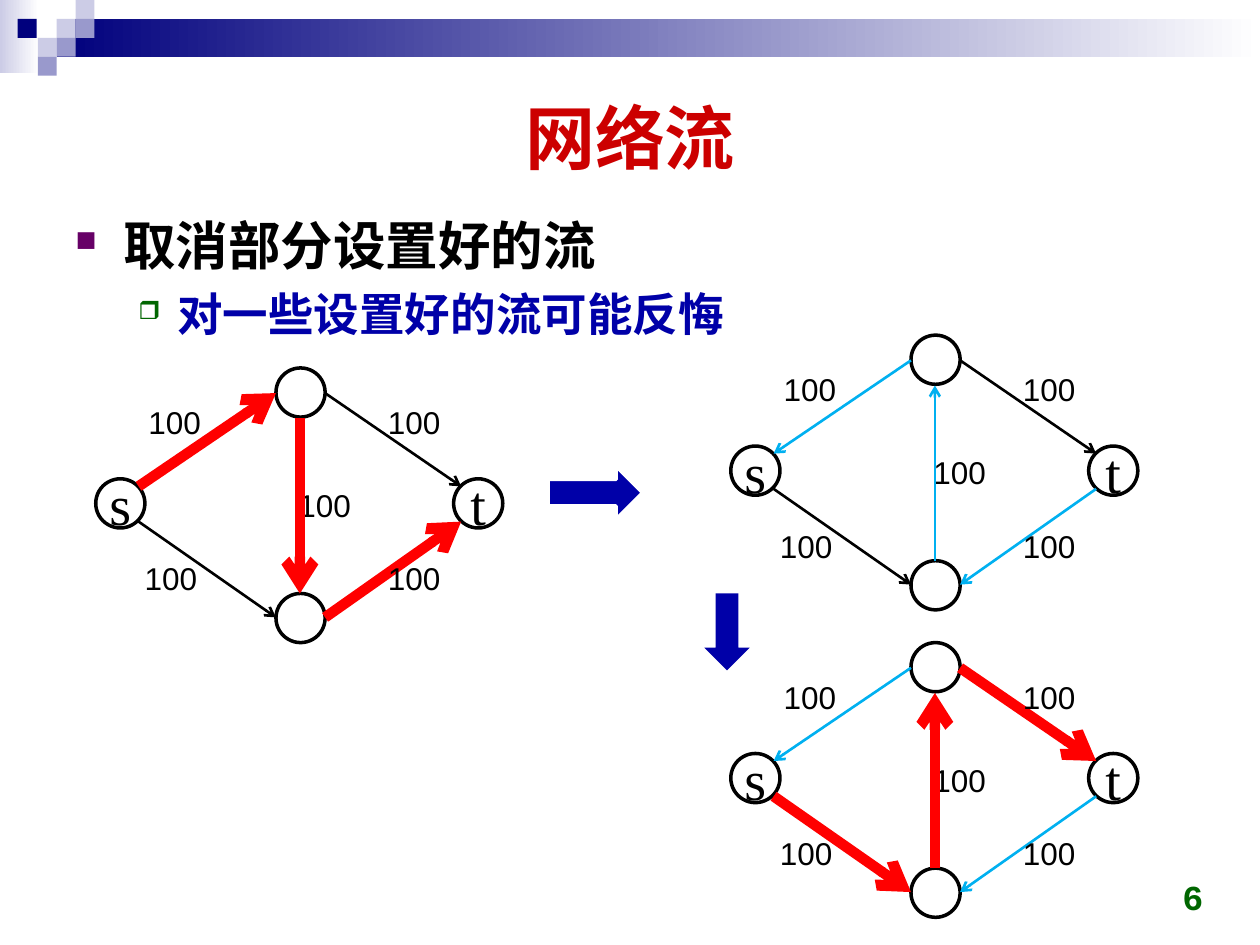
from dataclasses import dataclass
from typing import Optional

from lxml.etree import SubElement as Sub
from pptx import Presentation
from pptx.dml.color import RGBColor as RGB
from pptx.enum.shapes import MSO_CONNECTOR as Conn, MSO_SHAPE as Kind
from pptx.enum.text import MSO_ANCHOR as Anchor, MSO_AUTO_SIZE as Auto, PP_ALIGN as Align
from pptx.oxml.ns import qn
from pptx.util import Inches, Pt


@dataclass(frozen=True)
class Theme:
    black: str = "000000"
    white: str = "FFFFFF"
    red: str = "CC0000"
    blue: str = "0000A8"
    green: str = "006600"
    purple: str = "660066"
    navy: str = "00007D"
    pale: str = "CCCCE6"
    mid: str = "9999CC"
    flow: str = "FF0000"
    back: str = "00B0F0"
    sans: str = "Arial"
    serif: str = "Times New Roman"
    mono: str = "Courier New"
    title: int = 40
    lead: int = 30
    sub: int = 26
    page: int = 20
    node: int = 32
    label: int = 18


T = Theme()


@dataclass(frozen=True)
class Style:
    color: str
    width: float
    back: bool = False


PLAIN = Style(T.black, 1.5)
FLOW = Style(T.flow, 6)
UNDO = Style(T.back, 1.5, back=True)
PUSH = Style(T.flow, 6, back=True)


@dataclass(frozen=True)
class Graph:
    """A four-node network; x and y place the box of node s."""
    x: float
    y: float
    s_top: Style
    top_t: Style
    low_t: Style
    s_low: Style
    mid: Style


@dataclass(frozen=True)
class Bullet:
    text: str
    size: int
    color: str
    mark: str
    tint: str
    left: float
    hang: float


# Offsets from the box of node s
NODES = [("s", 0, 0), ("t", 2.84, 0), ("", 1.43, -0.88), ("", 1.43, 0.91)]
LABELS = [(0.32, -0.65), (0.29, 0.59), (2.22, -0.65), (1.51, 0.01), (2.22, 0.59)]
EDGES = {
    "s_top": (0.34, 0.06, 1.43, -0.68),
    "top_t": (1.82, -0.68, 2.9, 0.06),
    "low_t": (1.82, 1.1, 2.9, 0.34),
    "s_low": (0.34, 0.34, 1.43, 1.1),
    "mid": (1.62, -0.48, 1.62, 0.91),
}
GRAPHS = [
    Graph(5.8, 3.54, UNDO, PLAIN, UNDO, PLAIN, UNDO),
    Graph(0.76, 3.8, FLOW, PLAIN, FLOW, PLAIN, FLOW),
    Graph(5.8, 5.98, UNDO, FLOW, UNDO, FLOW, PUSH),
]
BULLETS = [
    Bullet("取消部分设置好的流", T.lead, T.black, "■", T.purple, 0.38, 0.38),
    Bullet("对一些设置好的流可能反悔", T.sub, T.blue, "❒", T.green, 0.81, 0.31),
]
CELL = 0.15
TILES = [(0.45, 0.15, T.pale), (0.6, 0, T.pale), (0.6, 0.15, T.mid), (0.3, 0.3, T.pale),
         (0.14, 0.15, T.navy), (0.45, 0.3, T.mid), (0.3, 0.45, T.mid)]


def box(x: float, y: float, w: float, h: float) -> tuple:
    return Inches(x), Inches(y), Inches(w), Inches(h)


def write(para, text: str, *, size: int, color: str = T.black, font: str = T.sans,
          bold: bool = False, align: Align = Align.LEFT) -> None:
    para.alignment = align
    run = para.add_run()
    run.text = text
    run.font.name, run.font.size, run.font.bold = font, Pt(size), bold
    run.font.color.rgb = RGB.from_string(color)


def add_box(shapes, place: tuple, anchor: Anchor = Anchor.TOP, wrap: bool = True):
    frame = shapes.add_textbox(*box(*place)).text_frame
    frame.word_wrap, frame.vertical_anchor = wrap, anchor
    return frame


def add_form(shapes, kind: Kind, place: tuple, fill: Optional[str] = None,
             line: Optional[str] = None, fade: bool = False):
    """Add a preset shape; fade runs the fill to white from left to right."""
    form = shapes.add_shape(kind, *box(*place))
    form.shadow.inherit = False
    if fade:
        form.fill.gradient()
        form.fill.gradient_angle = 0
        for stop, tone in zip(form.fill.gradient_stops, (fill, T.white)):
            stop.color.rgb = RGB.from_string(tone)
    elif fill:
        form.fill.solid()
        form.fill.fore_color.rgb = RGB.from_string(fill)
    else:
        form.fill.background()
    if line:
        form.line.color.rgb = RGB.from_string(line)
        form.line.width = Pt(2)
    else:
        form.line.fill.background()
    return form


def add_edge(shapes, ends: tuple, style: Style) -> None:
    edge = shapes.add_connector(Conn.STRAIGHT, *box(*ends))
    edge.line.color.rgb = RGB.from_string(style.color)
    edge.line.width = Pt(style.width)
    tip = "a:headEnd" if style.back else "a:tailEnd"
    Sub(edge.line._get_or_add_ln(), qn(tip), type="arrow")
    Sub(edge._element.spPr, qn("a:effectLst"))


def draw_graph(shapes, graph: Graph) -> None:
    group = shapes.add_group_shape().shapes

    def edges(*names: str) -> None:
        for name in names:
            x1, y1, x2, y2 = EDGES[name]
            ends = (graph.x + x1, graph.y + y1, graph.x + x2, graph.y + y2)
            add_edge(group, ends, getattr(graph, name))

    for name, dx, dy in NODES:
        node = add_form(group, Kind.OVAL, (graph.x + dx, graph.y + dy, 0.39, 0.39), line=T.black)
        if name:
            frame = node.text_frame
            frame.margin_left = frame.margin_right = frame.margin_top = frame.margin_bottom = 0
            frame.vertical_anchor = Anchor.MIDDLE
            write(frame.paragraphs[0], name, size=T.node, font=T.serif, align=Align.CENTER)
    edges("s_top", "top_t", "low_t")
    for dx, dy in LABELS:
        frame = add_box(group, (graph.x + dx, graph.y + dy, 0.62, 0.4), wrap=False)
        frame.auto_size = Auto.SHAPE_TO_FIT_TEXT
        write(frame.paragraphs[0], "100", size=T.label)
    edges("s_low", "mid")


def draw_band(shapes) -> None:
    group = shapes.add_group_shape().shapes
    add_form(group, Kind.RECTANGLE, (0, 0, 0.31, 0.58), T.pale, fade=True)
    add_form(group, Kind.RECTANGLE, (0.45, 0.15, 9.55, 0.3), T.navy, fade=True)
    for x, y, tone in TILES:
        add_form(group, Kind.RECTANGLE, (x, y, CELL, CELL), tone)


def draw_list(shapes) -> None:
    frame = add_box(shapes, (0.5, 1.62, 9, 5.2))
    for i, item in enumerate(BULLETS):
        para = frame.add_paragraph() if i else frame.paragraphs[0]
        para.level, para.line_spacing = i, 1.05
        para.space_before = Pt(0.15 * item.size)
        write(para, item.text, size=item.size, color=item.color, bold=True)
        props = para._p.get_or_add_pPr()
        props.set("marL", str(Inches(item.left)))
        props.set("indent", str(-Inches(item.hang)))
        Sub(Sub(props, qn("a:buClr")), qn("a:srgbClr"), val=item.tint)
        Sub(props, qn("a:buSzPct"), val="55000")
        Sub(props, qn("a:buChar"), char=item.mark)


def main() -> None:
    deck = Presentation()
    deck.slide_width, deck.slide_height = Inches(10), Inches(7.5)
    shapes = deck.slides.add_slide(deck.slide_layouts[6]).shapes
    draw_band(shapes)
    title = add_box(shapes, (0.5, 0.5, 9, 1.16), Anchor.MIDDLE)
    write(title.paragraphs[0], "网络流", size=T.title, color=T.red, bold=True, align=Align.CENTER)
    draw_list(shapes)
    page = add_box(shapes, (7.32, 6.83, 2.33, 0.5), Anchor.BOTTOM)
    write(page.paragraphs[0], "6", size=T.page, color=T.green, font=T.mono, bold=True,
          align=Align.RIGHT)
    for graph in GRAPHS:
        draw_graph(shapes, graph)
    add_form(shapes, Kind.RIGHT_ARROW, (4.35, 3.7, 0.75, 0.42), T.blue, T.white)
    add_form(shapes, Kind.DOWN_ARROW, (5.59, 4.71, 0.36, 0.61), T.blue)
    deck.save("out.pptx")


if __name__ == "__main__":
    main()
